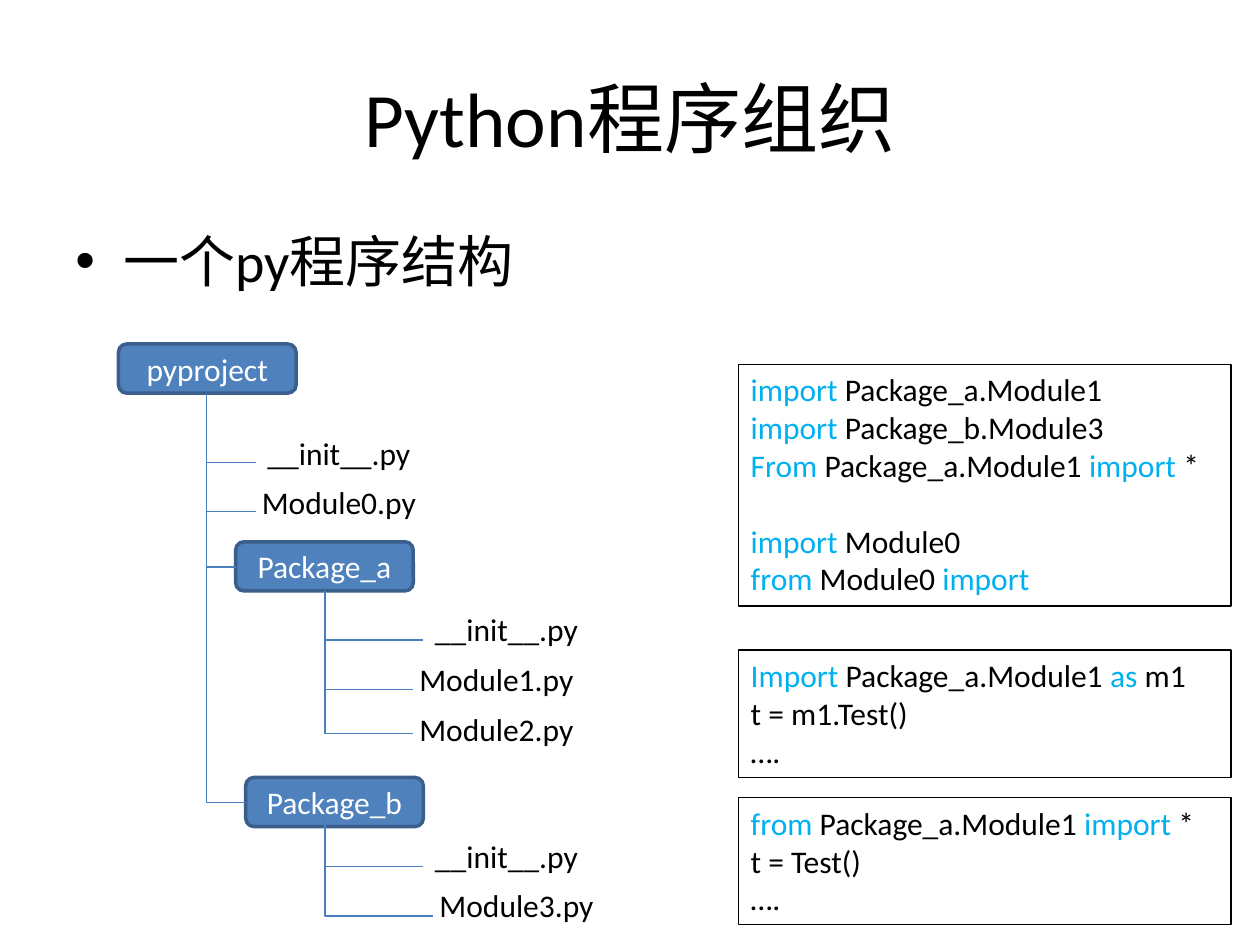
from pptx import Presentation
from pptx.dml.color import RGBColor
from pptx.enum.shapes import MSO_CONNECTOR, MSO_SHAPE
from pptx.enum.text import MSO_ANCHOR, PP_ALIGN
from pptx.oxml.ns import qn
from pptx.util import Inches, Pt
from lxml import etree

BLACK, WHITE, KEYWORD = "000000", "FFFFFF", "00B0F0"
FOLDER_FILL, FOLDER_LINE, BRANCH = "4F81BD", "3A5F8C", "4B7EBC"

# name, left, top
FOLDERS = [
    ("pyproject", 0.94, 2.73),
    ("Package_a", 1.87, 4.30),
    ("Package_b", 1.95, 6.17),
]

# trunk x, trunk top, files as (name, left, top, branch y)
FILE_GROUPS = [
    (1.64, 3.12, [("__init__.py", 1.87, 3.44, 3.67), ("Module0.py", 1.87, 3.83, 4.06)]),
    (2.58, 4.69, [("__init__.py", 3.20, 4.84, 5.08), ("Module1.py", 3.12, 5.23, 5.47),
                  ("Module2.py", 3.12, 5.63, 5.82)]),
    (2.58, 6.48, [("__init__.py", 3.20, 6.64, 6.88), ("Module3.py", 3.28, 7.03, 7.27)]),
]

# top, height, lines of (text, is keyword); None leaves a gap before the next line
CODE_BOXES = [
    (2.89, 1.92, [
        [("import", True), (" Package_a.Module1", False)],
        [("import", True), (" Package_b.Module3", False)],
        [("From", True), (" Package_a.Module1 ", False), ("import", True), (" *", False)],
        None,
        [("import", True), (" Module0", False)],
        [("from", True), (" Module0 ", False), ("import", True)],
    ]),
    (5.16, 1.01, [
        [("Import ", True), ("Package_a.Module1 ", False), ("as ", True), ("m1", False)],
        [("t = m1.Test()", False)],
        [("….", False)],
    ]),
    (6.33, 1.01, [
        [("from ", True), ("Package_a.Module1 ", False), ("import ", True), ("*", False)],
        [("t = Test()", False)],
        [("….", False)],
    ]),
]


def color(hex_value):
    return RGBColor.from_string(hex_value)


class SlideBuilder:
    font_name = "Calibri"
    text_size = 18

    def __init__(self, slide):
        self.slide = slide

    def style(self, paragraph, size, hex_value=BLACK):
        paragraph.font.name = self.font_name
        paragraph.font.size = Pt(size)
        paragraph.font.color.rgb = color(hex_value)

    def text_box(self, left, top, width, height):
        shape = self.slide.shapes.add_textbox(
            Inches(left), Inches(top), Inches(width), Inches(height))
        shape.text_frame.word_wrap = True
        return shape

    def title(self, text):
        frame = self.text_box(0.5, 0.3, 9, 1.25).text_frame
        frame.vertical_anchor = MSO_ANCHOR.MIDDLE
        paragraph = frame.paragraphs[0]
        paragraph.text = text
        paragraph.alignment = PP_ALIGN.CENTER
        self.style(paragraph, 44)

    def bullet(self, text):
        paragraph = self.text_box(0.5, 1.75, 9, 4.95).text_frame.paragraphs[0]
        paragraph.text = text
        paragraph.space_before = Pt(6.4)
        self.style(paragraph, 32)
        properties = paragraph._p.get_or_add_pPr()
        properties.set("marL", str(Inches(0.38)))
        properties.set("indent", str(-Inches(0.38)))
        font = etree.Element(qn("a:buFont"), typeface="Arial")
        character = etree.Element(qn("a:buChar"), char="•")
        spacing = properties.find(qn("a:spcBef"))
        spacing.addnext(font)
        font.addnext(character)

    def node(self, text, left, top, width, height, fill, text_color):
        shape = self.slide.shapes.add_shape(
            MSO_SHAPE.ROUNDED_RECTANGLE,
            Inches(left), Inches(top), Inches(width), Inches(height))
        shape.shadow.inherit = False
        shape.fill.solid()
        shape.fill.fore_color.rgb = color(fill)
        shape.line.fill.background()
        shape.text_frame.vertical_anchor = MSO_ANCHOR.MIDDLE
        paragraph = shape.text_frame.paragraphs[0]
        paragraph.text = text
        paragraph.alignment = PP_ALIGN.CENTER
        self.style(paragraph, self.text_size, text_color)
        return shape

    def folder(self, name, left, top):
        shape = self.node(name, left, top, 1.41, 0.39, FOLDER_FILL, WHITE)
        shape.line.color.rgb = color(FOLDER_LINE)
        shape.line.width = Pt(2)

    def file(self, name, left, top):
        self.node(name, left, top, 1.64, 0.31, WHITE, BLACK)

    def branch(self, start_x, start_y, end_x, end_y):
        """Draw an elbow that runs down first and then to the right."""
        across, down = end_x - start_x, end_y - start_y
        left = (start_x + end_x - down) / 2
        top = (start_y + end_y - across) / 2
        connector = self.slide.shapes.add_connector(
            MSO_CONNECTOR.ELBOW, Inches(left), Inches(top),
            Inches(left + down), Inches(top + across))
        connector.line.color.rgb = color(BRANCH)
        connector.line.width = Pt(0.75)
        properties = connector._element.spPr
        transform = properties.find(qn("a:xfrm"))
        transform.set("rot", str(270 * 60000))
        transform.set("flipH", "1")
        properties.find(qn("a:prstGeom")).set("prst", "bentConnector2")
        etree.SubElement(properties, qn("a:effectLst"))

    def code_box(self, top, height, lines):
        shape = self.text_box(5.86, top, 3.91, height)
        shape.line.color.rgb = color(BLACK)
        shape.line.width = Pt(0.75)
        paragraph, gap = shape.text_frame.paragraphs[0], False
        for index, line in enumerate(lines):
            if line is None:
                gap = True
                continue
            if index:
                paragraph = shape.text_frame.add_paragraph()
            if gap:
                paragraph.space_before = Pt(self.text_size * 1.2)
                gap = False
            self.style(paragraph, self.text_size)
            for text, is_keyword in line:
                run = paragraph.add_run()
                run.text = text
                run.font.color.rgb = color(KEYWORD if is_keyword else BLACK)


def main():
    presentation = Presentation()
    presentation.slide_width, presentation.slide_height = Inches(10), Inches(7.5)
    builder = SlideBuilder(presentation.slides.add_slide(presentation.slide_layouts[6]))
    builder.title("Python程序组织")
    builder.bullet("一个py程序结构")
    for folder in FOLDERS:
        builder.folder(*folder)
    trunk_x, trunk_top, _ = FILE_GROUPS[0]
    for _, left, top in FOLDERS[1:]:
        builder.branch(trunk_x, trunk_top, left, top + 0.2)
    for trunk_x, trunk_top, files in FILE_GROUPS:
        for name, left, top, branch_y in files:
            builder.file(name, left, top)
            builder.branch(trunk_x, trunk_top, left + 0.16, branch_y)
    for code_box in CODE_BOXES:
        builder.code_box(*code_box)
    presentation.save("out.pptx")


if __name__ == "__main__":
    main()
